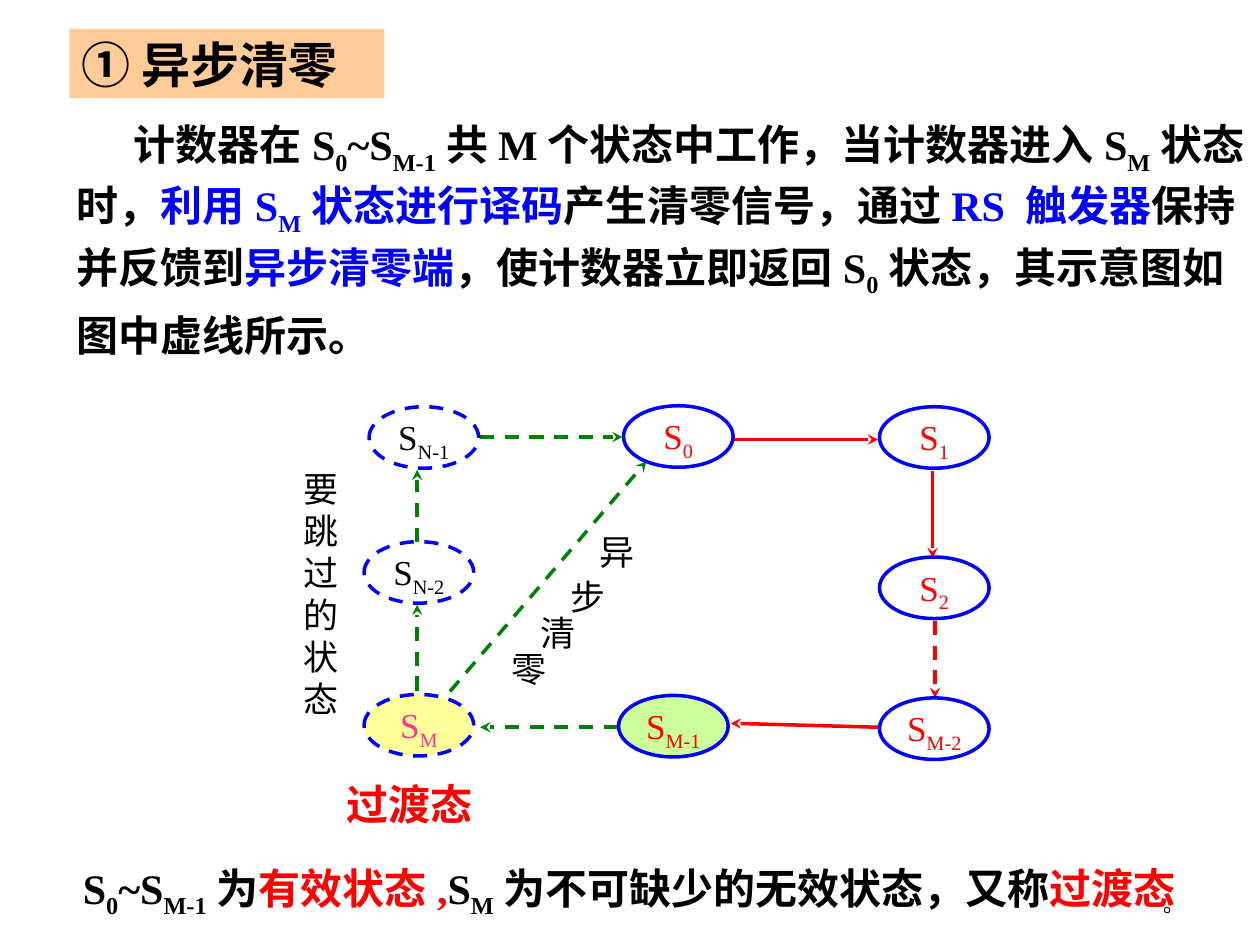
from dataclasses import dataclass

from lxml.etree import SubElement
from pptx import Presentation
from pptx.dml.color import RGBColor
from pptx.enum.dml import MSO_LINE_DASH_STYLE as Dash
from pptx.enum.shapes import MSO_CONNECTOR as Connector, MSO_SHAPE as Preset
from pptx.enum.text import MSO_ANCHOR as Anchor, MSO_AUTO_SIZE as AutoSize, PP_ALIGN as Align
from pptx.oxml.ns import qn
from pptx.util import Cm, Pt


@dataclass(frozen=True)
class Theme:
    """Colours, fonts and type sizes of the slide."""
    black: str = "000000"
    blue: str = "0000FF"
    red: str = "FF0000"
    green: str = "008000"
    pink: str = "FF3399"
    peach: str = "FFCC99"
    lime: str = "CCFF99"
    yellow: str = "FFFF99"
    serif: str = "Times New Roman"
    heading: str = "Calibri"
    plain: str = "DejaVu Sans"
    title_size: int = 28
    body_size: int = 24
    label_size: int = 20
    small_size: int = 12
    line_width: int = 2


def apply(target, values):
    """Set every attribute named in a dict of format values."""
    for name, value in values.items():
        setattr(target, name, value)


class StateSlide:
    """Holds the theme and the current slide and adds its elements."""

    def __init__(self, presentation, theme):
        """Start a slide from the title and content layout."""
        self.theme = theme
        self.slide = presentation.slides.add_slide(presentation.slide_layouts[1])

    def place(self, shape, box):
        """Move and size a shape, in centimetres."""
        apply(shape, dict(zip(("left", "top", "width", "height"), map(Cm, box))))

    def frame(self, shape, inset=True, **values):
        """Format a text frame and return it."""
        side, edge = (Cm(0.25), Cm(0.13)) if inset else (0, 0)
        frame = shape.text_frame
        apply(frame, {"margin_left": side, "margin_right": side, "margin_top": edge,
                      "margin_bottom": edge, "word_wrap": True, "auto_size": AutoSize.NONE,
                      "vertical_anchor": Anchor.TOP, **values})
        return frame

    def add_runs(self, paragraph, parts, size, font=None, bold=False, **values):
        """Add (text, colour) parts; text between bars becomes a subscript."""
        apply(paragraph, values)
        for text, colour in parts:
            for index, piece in enumerate(text.split("|")):
                if piece:
                    run = paragraph.add_run()
                    run.text = piece
                    apply(run.font, {"size": Pt(size), "bold": bold,
                                     "name": font or self.theme.serif})
                    run.font.color.rgb = RGBColor.from_string(colour)
                    if index % 2:
                        run._r.get_or_add_rPr().set("baseline", "-25000")

    def fill(self, shape, colour):
        """Fill a shape, or leave it clear."""
        if colour:
            shape.fill.solid()
            shape.fill.fore_color.rgb = RGBColor.from_string(colour)
        else:
            shape.fill.background()

    def stroke(self, line, colour, dashed):
        """Style an outline or a connector line."""
        line.width = Pt(self.theme.line_width)
        line.color.rgb = RGBColor.from_string(colour)
        if dashed:
            line.dash_style = Dash.DASH

    def title(self, text, box):
        """Fill the title placeholder."""
        theme, shape = self.theme, self.slide.shapes.title
        self.place(shape, box)
        self.fill(shape, theme.peach)
        frame = self.frame(shape, vertical_anchor=Anchor.MIDDLE)
        self.add_runs(frame.paragraphs[0], [(text, theme.black)], theme.title_size,
                      theme.heading, True, alignment=Align.LEFT)

    def body(self, parts, box):
        """Fill the body placeholder with one indented paragraph."""
        shape = self.slide.placeholders[1]
        self.place(shape, box)
        paragraph = self.frame(shape).paragraphs[0]
        properties = paragraph._p.get_or_add_pPr()
        properties.set("marL", "0")
        properties.set("indent", str(Cm(1.15)))
        SubElement(properties, qn("a:buNone"))
        self.add_runs(paragraph, parts, self.theme.body_size, bold=True,
                      line_spacing=Pt(35), space_before=Pt(0))

    def text(self, lines, box, size, inset=True, font=None, bold=False,
             align=Align.LEFT, **values):
        """Add a text box with one paragraph for each list of parts."""
        shape = self.slide.shapes.add_textbox(*map(Cm, box))
        frame = self.frame(shape, inset, **values)
        for index, parts in enumerate(lines):
            paragraph = frame.add_paragraph() if index else frame.paragraphs[0]
            self.add_runs(paragraph, parts, size, font, bold, alignment=align)

    def state(self, label, left, top, colour, fill=None, dashed=False):
        """Add one state of the cycle."""
        shape = self.slide.shapes.add_shape(Preset.OVAL, *map(Cm, (left, top, 2.21, 1.24)))
        shape.shadow.inherit = False
        self.fill(shape, fill)
        self.stroke(shape.line, self.theme.blue, dashed)
        paragraph = self.frame(shape, False).paragraphs[0]
        self.add_runs(paragraph, [(label, colour)], self.theme.label_size,
                      alignment=Align.CENTER)

    def arrow(self, ends, colour, dashed=False):
        """Add a transition arrow."""
        connector = self.slide.shapes.add_connector(Connector.STRAIGHT, *map(Cm, ends))
        self.stroke(connector.line, colour, dashed)
        SubElement(connector.line._get_or_add_ln(), qn("a:tailEnd"), type="stealth")
        SubElement(connector._element.spPr, qn("a:effectLst"))


def main():
    """Build and save the slide."""
    presentation = Presentation()
    apply(presentation, {"slide_width": Cm(25.4), "slide_height": Cm(19.05)})
    theme = Theme()
    black, blue, red, green = theme.black, theme.blue, theme.red, theme.green
    page = StateSlide(presentation, theme)

    page.title("① 异步清零", (1.4, 0.58, 6.35, 1.4))
    page.body([("计数器在S|0|~S|M-1|共M个状态中工作，当计数器进入S|M|状态时，", black),
               ("利用S|M|状态进行译码", blue), ("产生清零信号，通过", black),
               ("RS 触发器", blue), ("保持并反馈到", black), ("异步清零端", blue),
               ("，使计数器立即返回S|0|状态，其示意图如图中虚线所示。", black)],
              (1.3, 2.18, 24.1, 5.21))

    for ends, colour, dashed in (
            ((9.68, 8.81, 12.55, 8.81), green, True),
            ((14.76, 8.86, 17.7, 8.86), red, False),
            ((18.8, 9.5, 18.8, 11.25), red, False),
            ((18.85, 12.52, 18.85, 14.07), red, True),
            ((17.7, 14.66, 14.73, 14.58), red, False),
            ((12.45, 14.66, 9.68, 14.66), green, True),
            ((8.41, 13.92, 8.41, 12.19), green, True),
            ((8.41, 10.92, 8.41, 9.47), green, True),
            ((9.07, 13.94, 13.03, 9.3), green, True)):
        page.arrow(ends, colour, dashed)

    for label, left, top, colour, fill, dashed in (
            ("S|0|", 12.57, 8.18, red, None, False),
            ("S|1|", 17.73, 8.2, red, None, False),
            ("S|2|", 17.73, 11.23, red, None, False),
            ("S|M-2|", 17.73, 14.07, red, None, False),
            ("S|M-1|", 12.47, 14.02, red, theme.lime, False),
            ("S|M|", 7.34, 14, theme.pink, theme.yellow, True),
            ("S|N-2|", 7.34, 10.92, black, None, True),
            ("S|N-1|", 7.44, 8.2, black, None, True)):
        page.state(label, left, top, colour, fill, dashed)

    skipped = [[(word, black)] for word in ("要", "跳过", "的", "状", "态")]
    page.text(skipped, (6.12, 9.42, 0.89, 5.13), theme.label_size, False, align=Align.JUSTIFY)
    for word, left, top, width in (("异", 12.09, 10.69, 0.89), ("步", 11.51, 11.61, 1.19),
                                   ("清", 10.9, 12.32, 1.19), ("零", 10.31, 13.06, 0.89)):
        page.text([[(word, black)]], (left, top, width, 0.71), theme.label_size, False,
                  align=Align.JUSTIFY)

    page.text([[("过渡态", red)]], (6.73, 15.57, 3.05, 1.27), theme.body_size, bold=True,
              word_wrap=False)
    page.text([[("S|0|~S|M-1|为", black), ("有效状态,", red),
                ("S|M|为不可缺少的无效状态，又称", black), ("过渡态", red)]],
              (1.42, 17.25, 23.01, 2.44), theme.body_size, bold=True)
    page.text([[("。", black)]], (18.21, 17.35, 5.92, 1.27), theme.small_size,
              font=theme.plain, align=Align.RIGHT, vertical_anchor=Anchor.BOTTOM)
    presentation.save("out.pptx")


if __name__ == "__main__":
    main()
